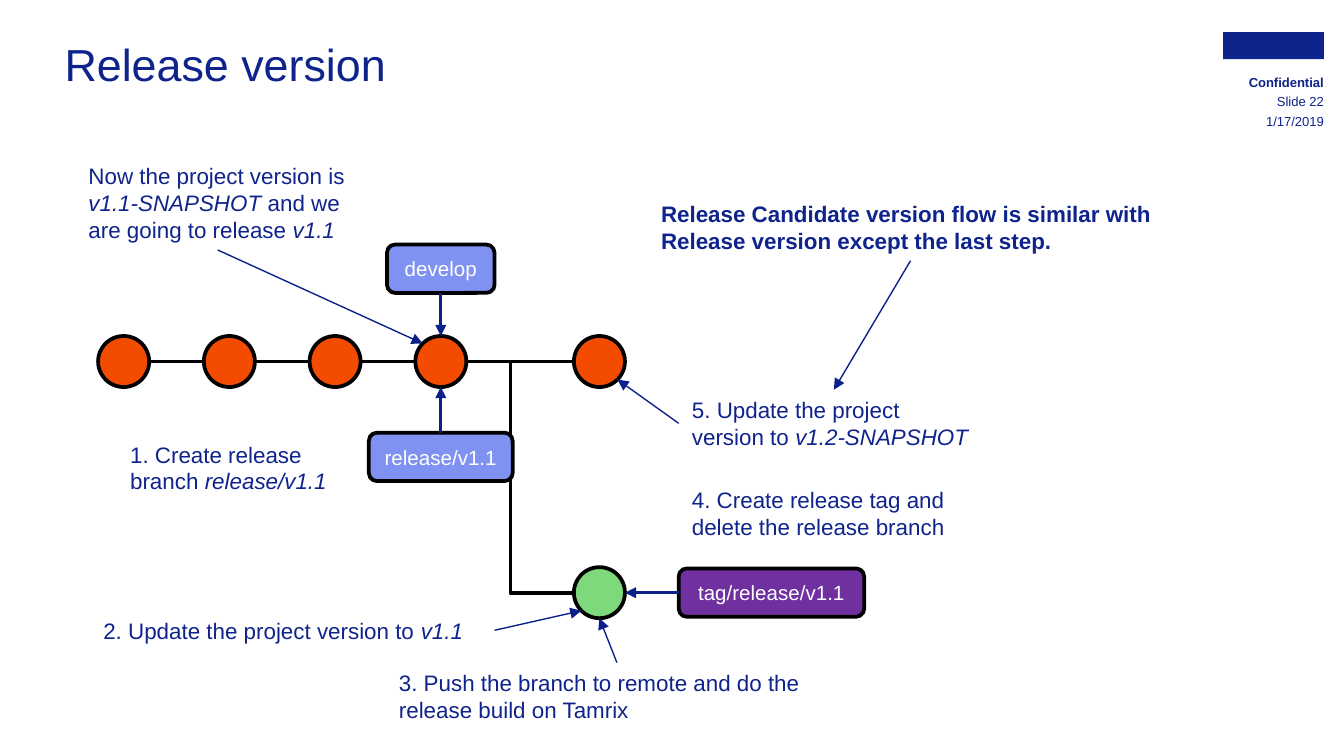
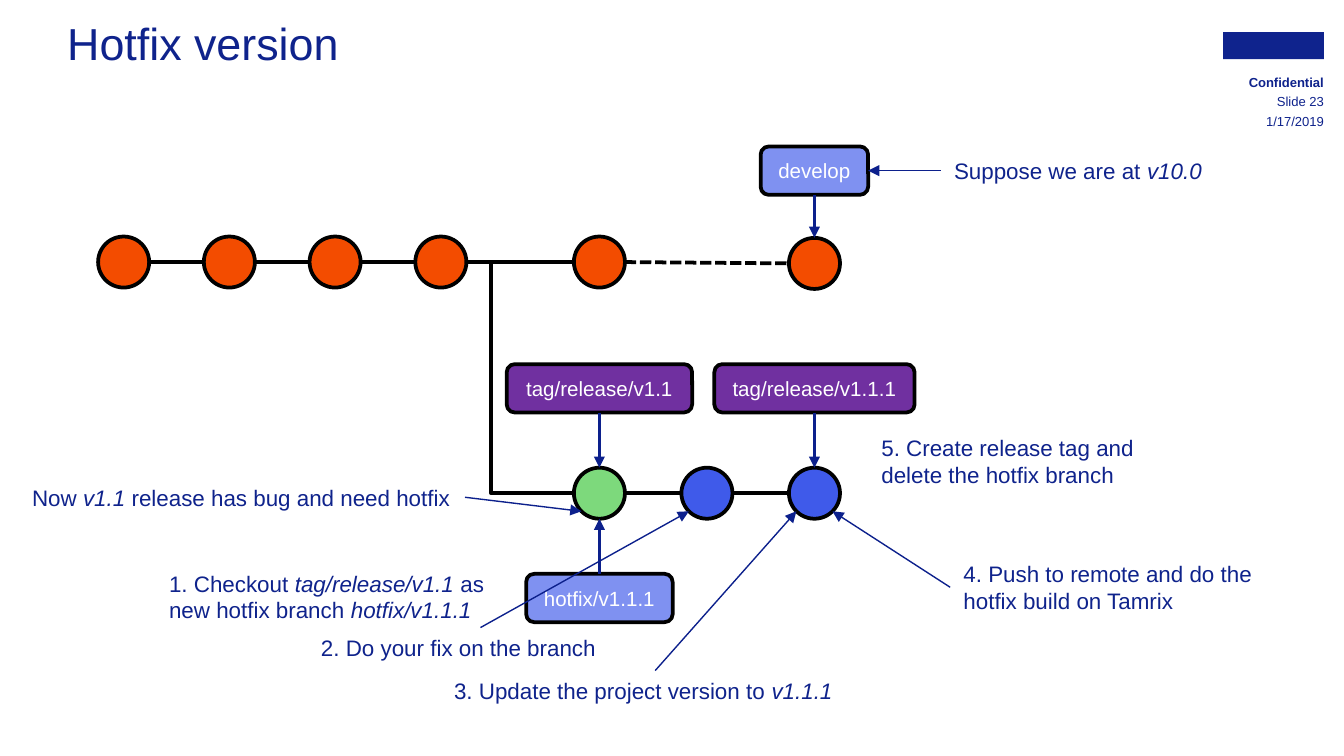
from math import sqrt

from pptx import Presentation
from pptx.dml.color import RGBColor
from pptx.enum.dml import MSO_LINE
from pptx.enum.shapes import MSO_CONNECTOR as Connector, MSO_SHAPE as Shape
from pptx.enum.text import MSO_ANCHOR as Anchor, PP_ALIGN as Align
from pptx.oxml.ns import qn
from pptx.oxml.xmlchemy import OxmlElement
from pptx.util import Inches, Pt

COLORS = {
    "navy": "0F238C", "arrow": "0C208C", "logo": "0F238D", "black": "000000",
    "white": "FFFFFF", "commit": "F34C00", "release": "7DD97C",
    "fix": "3F5AEA", "branch": "7F91F1", "tag": "7030A0",
}
FONT = "Arial"
RADIUS = 0.19
BOX_HEIGHT = 0.36
LINE_WIDTH = 2
BOX_SIDES = {"top": 0, "left": 1, "bottom": 2, "right": 3}
DIRECTIONS = {
    "top": (0, -1), "bottom": (0, 1), "left": (-1, 0), "right": (1, 0),
    "top left": (-1, -1), "bottom left": (-1, 1), "bottom right": (1, 1),
}

# Header lines at the top right: text, top, format, line spacing
HEADER = [
    ("Confidential", 0.56, {"bold": True}, None),
    ("Slide {number}", 0.71, {}, 8),
    ("1/17/2019", 0.86, {}, 7),
]

# The first four commits share one row at equal gaps
ROW_START, ROW_END, ROW_COUNT = 0.92, 3.28, 4


def commit_row(y):
    step = (ROW_END - ROW_START) / (ROW_COUNT - 1)
    return {f"c{i + 1}": (ROW_START + i * step, y, "commit") for i in range(ROW_COUNT)}


# circles: centre x, centre y, colour
# links: from, to, dash;  fork: from, to, bend position
# boxes: centre x, top, width, colour, text
# notes: left, top, width, lines, text with *italic* parts
# arrows: from, side, to, side
SLIDES = [
    {
        "number": 22, "title": ("Release version", 0.48, 0.27),
        "circles": {**commit_row(2.69), "c5": (4.46, 2.69, "commit"),
                    "release": (4.46, 4.41, "release")},
        "links": [("c1", "c2", False), ("c2", "c3", False), ("c3", "c4", False),
                  ("c4", "c5", False)],
        "fork": ("c4", "release", 0.41),
        "boxes": {
            "develop": (3.28, 1.82, 0.8, "branch", "develop"),
            "branch": (3.28, 3.22, 1.07, "branch", "release/v1.1"),
            "tag": (5.74, 4.23, 1.38, "tag", "tag/release/v1.1"),
        },
        "notes": {
            "start": (0.56, 1.16, 2.12, 3, "Now the project version is *v1.1-SNAPSHOT *"
                      "and we are going to release *v1.1*"),
            "1": (0.87, 3.23, 1.87, 2, "1. Create release branch *release/v1.1*"),
            "2": (0.67, 4.54, 3.01, 1, "2. Update the project version to *v1.1*"),
            "3": (2.87, 4.93, 3.44, 2, "3. Push the branch to remote and do the "
                  "release build on Tamrix"),
            "4": (5.05, 3.57, 2.2, 2, "4. Create release tag and delete the release branch"),
            "5": (5.05, 2.9, 2.31, 2, "5. Update the project version to *v1.2-SNAPSHOT*"),
            "candidate": (4.82, 1.44, 3.91, 2, "Release Candidate version flow is similar "
                          "with Release version except the last step."),
        },
        "bold": {"candidate"},
        "arrows": [
            ("develop", "bottom", "c4", "top"),
            ("branch", "top", "c4", "bottom"),
            ("tag", "left", "release", "right"),
            ("start", "bottom", "c4", "top left"),
            ("2", "right", "release", "bottom left"),
            ("3", "top", "release", "bottom"),
            ("5", "left", "c5", "bottom right"),
            ("candidate", "bottom", "5", "top"),
        ],
    },
    {
        "number": 23, "title": ("Hotfix version", 0.5, 0.12),
        "circles": {**commit_row(1.95), "c5": (4.46, 1.95, "commit"),
                    "head": (6.06, 1.96, "commit"),
                    "release": (4.46, 3.67, "release"),
                    "fix": (5.26, 3.67, "fix"), "fixed": (6.06, 3.67, "fix")},
        "links": [("c1", "c2", False), ("c2", "c3", False), ("c3", "c4", False),
                  ("c4", "c5", False), ("c5", "head", True),
                  ("release", "fix", False), ("fix", "fixed", False)],
        "fork": ("c4", "release", 0.23),
        "boxes": {
            "develop": (6.06, 1.09, 0.8, "branch", "develop"),
            "tag": (4.46, 2.71, 1.38, "tag", "tag/release/v1.1"),
            "new tag": (6.06, 2.71, 1.49, "tag", "tag/release/v1.1.1"),
            "branch": (4.46, 4.27, 1.09, "branch", "hotfix/v1.1.1"),
        },
        "notes": {
            "start": (7, 1.12, 2.69, 1, "Suppose we are at *v10.0*"),
            "bug": (0.14, 3.55, 3.32, 1, "Now *v1.1* release has bug and need hotfix"),
            "1": (1.16, 4.19, 2.57, 2, "1. Checkout *tag/release/v1.1 *as new hotfix "
                  "branch *hotfix/v1.1.1*"),
            "2": (2.29, 4.67, 2.57, 1, "2. Do your fix on the branch"),
            "3": (3.28, 4.99, 3.19, 1, "3. Update the project version to *v1.1.1*"),
            "4": (7.07, 4.12, 2.35, 2, "4. Push to remote and do the hotfix build on Tamrix"),
            "5": (6.46, 3.18, 2.2, 2, "5. Create release tag and delete the hotfix branch"),
        },
        "bold": set(),
        "arrows": [
            ("develop", "bottom", "head", "top"),
            ("tag", "bottom", "release", "top"),
            ("new tag", "bottom", "fixed", "top"),
            ("branch", "top", "release", "bottom"),
            ("start", "left", "develop", "right"),
            ("bug", "right", "release", "bottom left"),
            ("2", "top", "fix", "bottom left"),
            ("3", "top", "fixed", "bottom left"),
            ("4", "left", "fixed", "bottom right"),
        ],
    },
]


def rgb(name):
    return RGBColor.from_string(COLORS[name])


def write(frame, text, size, color="navy", align=Align.LEFT, spacing=None, **extra):
    """Fill a text frame; parts between asterisks are italic."""
    paragraph = frame.paragraphs[0]
    paragraph.alignment = align
    if spacing:
        paragraph.line_spacing = Pt(spacing)
    for index, part in enumerate(text.split("*")):
        if not part:
            continue
        run = paragraph.add_run()
        run.text = part
        run.font.color.rgb = rgb(color)
        formats = {"name": FONT, "size": Pt(size), "italic": index % 2 == 1, **extra}
        for key, value in formats.items():
            setattr(run.font, key, value)


def add_text(slide, left, top, width, height, text, size, frame_formats=None, **formats):
    box = slide.shapes.add_textbox(*map(Inches, (left, top, width, height)))
    for key, value in {"word_wrap": True, **(frame_formats or {})}.items():
        setattr(box.text_frame, key, value)
    write(box.text_frame, text, size, **formats)
    return box


def add_solid(slide, kind, left, top, width, height, color, outline="black"):
    shape = slide.shapes.add_shape(kind, *map(Inches, (left, top, width, height)))
    shape.shadow.inherit = False
    shape.fill.solid()
    shape.fill.fore_color.rgb = rgb(color)
    if outline:
        shape.line.color.rgb = rgb(outline)
        shape.line.width = Pt(LINE_WIDTH)
    else:
        shape.line.fill.background()
    return shape


def add_line(slide, start, end, color, width, kind=Connector.STRAIGHT, arrow=False):
    connector = slide.shapes.add_connector(kind, *map(Inches, (*start, *end)))
    connector.line.color.rgb = rgb(color)
    connector.line.width = Pt(width)
    properties = connector._element.spPr
    if arrow:
        tail = OxmlElement("a:tailEnd")
        tail.set("type", "triangle")
        properties.find(qn("a:ln")).append(tail)
    properties.append(OxmlElement("a:effectLst"))
    return connector


def rim(circle, side):
    """Point on a circle's edge in the given direction."""
    x, y, _ = circle
    dx, dy = DIRECTIONS[side]
    reach = RADIUS / sqrt(dx * dx + dy * dy)
    return x + dx * reach, y + dy * reach


def add_frame(slide, title, number):
    """Title, header lines and logo block."""
    margins = dict.fromkeys(("margin_left", "margin_top", "margin_right", "margin_bottom"), 0)
    text, left, top = title
    add_solid(slide, Shape.RECTANGLE, 9.1, 0.24, 0.75, 0.2, "logo", None)
    add_text(slide, left, top, 8.32, 0.36, text, 24, margins)
    for line, line_top, formats, spacing in HEADER:
        add_text(slide, 9.02, line_top, 0.83, 0.1, line.format(number=number), 7,
                 {**margins, "vertical_anchor": Anchor.MIDDLE},
                 align=Align.RIGHT, spacing=spacing, **formats)


def add_graph(slide, data):
    circles, joints = data["circles"], {}

    # Commit lines
    for start, end, dashed in data["links"]:
        link = add_line(slide, rim(circles[start], "right"), rim(circles[end], "left"),
                        "black", LINE_WIDTH)
        if dashed:
            link.line.dash_style = MSO_LINE.SQUARE_DOT
    start, end, bend = data["fork"]
    fork = add_line(slide, rim(circles[start], "right"), rim(circles[end], "left"),
                    "black", LINE_WIDTH, Connector.ELBOW)
    guide = OxmlElement("a:gd")
    guide.set("name", "adj1")
    guide.set("fmla", f"val {round(bend * 100000)}")
    geometry = fork._element.spPr.find(qn("a:prstGeom"))
    geometry.find(qn("a:avLst")).append(guide)

    # Commits
    for x, y, color in circles.values():
        add_solid(slide, Shape.OVAL, x - RADIUS, y - RADIUS, 2 * RADIUS, 2 * RADIUS, color)

    # Branch and tag boxes
    for name, (x, top, width, color, text) in data["boxes"].items():
        box = add_solid(slide, Shape.ROUNDED_RECTANGLE, x - width / 2, top,
                        width, BOX_HEIGHT, color)
        box.text_frame.word_wrap = False
        box.text_frame.vertical_anchor = Anchor.MIDDLE
        write(box.text_frame, text, 11, "white", Align.CENTER)
        joints[name] = box

    # Notes
    for name, (left, top, width, lines, text) in data["notes"].items():
        joints[name] = add_text(slide, left, top, width, 0.1 + 0.2 * lines, text, 12,
                                bold=name in data["bold"])

    # Arrows
    for source, side, target, target_side in data["arrows"]:
        end = rim(circles[target], target_side) if target in circles else (0, 0)
        width = 1.5 if source in data["boxes"] else 0.75
        arrow = add_line(slide, end, end, "arrow", width, arrow=True)
        arrow.begin_connect(joints[source], BOX_SIDES[side])
        if target in joints:
            arrow.end_connect(joints[target], BOX_SIDES[target_side])


def main():
    presentation = Presentation()
    # Widescreen, 16:9
    presentation.slide_width = Inches(10)
    presentation.slide_height = Inches(10) * 9 // 16
    for data in SLIDES:
        slide = presentation.slides.add_slide(presentation.slide_layouts[6])
        add_frame(slide, data["title"], data["number"])
        add_graph(slide, data)
    presentation.save("out.pptx")


if __name__ == "__main__":
    main()
